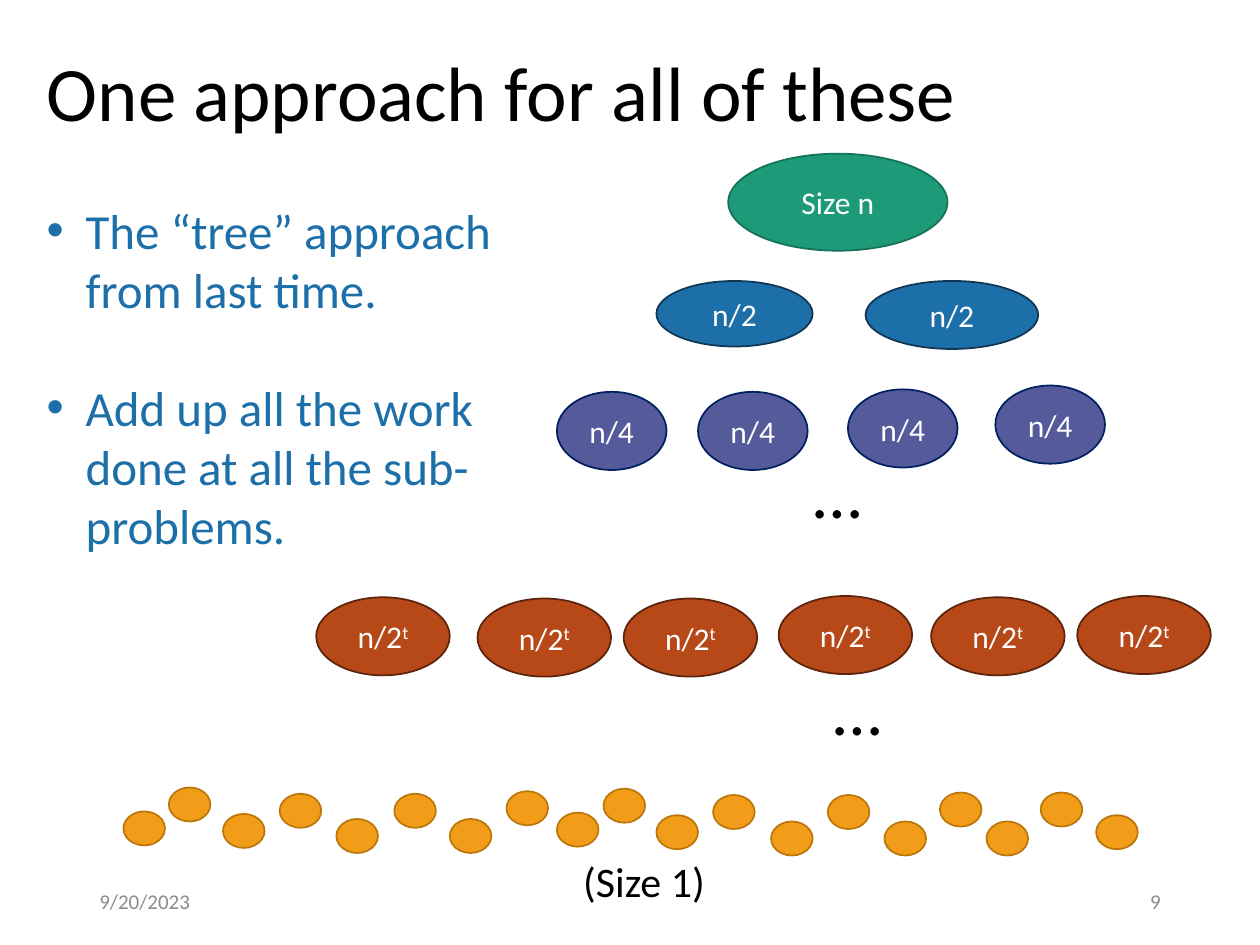
"""Build a slide that shows the recursion tree of sub-problems."""
from pptx import Presentation
from pptx.dml.color import RGBColor
from pptx.enum.shapes import MSO_SHAPE
from pptx.enum.text import MSO_ANCHOR, MSO_AUTO_SIZE, PP_ALIGN
from pptx.util import Inches, Pt

OVAL = MSO_SHAPE.OVAL
MIDDLE, TOP = MSO_ANCHOR.MIDDLE, MSO_ANCHOR.TOP
LEFT, CENTER, RIGHT = PP_ALIGN.LEFT, PP_ALIGN.CENTER, PP_ALIGN.RIGHT
NO_FIT = MSO_AUTO_SIZE.NONE

FONT = "Calibri"
BLACK = RGBColor(0x00, 0x00, 0x00)
WHITE = RGBColor(0xFF, 0xFF, 0xFF)
GRAY = RGBColor(0x8C, 0x8C, 0x8C)
GREEN, GREEN_LINE = RGBColor(0x1D, 0x9A, 0x78), RGBColor(0x15, 0x72, 0x59)
BLUE, BLUE_LINE = RGBColor(0x1D, 0x6F, 0xA9), RGBColor(0x0F, 0x37, 0x54)
PURPLE, PURPLE_LINE = RGBColor(0x55, 0x5B, 0x9A), RGBColor(0x00, 0x20, 0x60)
RUST, RUST_LINE = RGBColor(0xB7, 0x49, 0x19), RGBColor(0x5C, 0x24, 0x0C)
ORANGE, ORANGE_LINE = RGBColor(0xF1, 0x9D, 0x19), RGBColor(0xBC, 0x77, 0x0B)

BULLETS = [
    "The “tree” approach from last time.",
    "Add up all the work done at all the sub-problems.",
]
HALVES = [(5.21, 2.23, 1.24, 0.52), (6.87, 2.23, 1.37, 0.54)]
QUARTERS = [(4.42, 3.11), (5.54, 3.11), (6.73, 3.09), (7.9, 3.06)]
LEVEL_T = [(2.51, 4.74), (3.79, 4.75), (4.95, 4.75),
           (6.18, 4.73), (7.39, 4.74), (8.55, 4.73)]
LEAVES = [
    (0.98, 6.44), (1.34, 6.25), (1.77, 6.46), (2.22, 6.3), (2.67, 6.5),
    (3.13, 6.3), (3.57, 6.5), (4.02, 6.28), (4.42, 6.45), (4.79, 6.26),
    (5.21, 6.47), (5.66, 6.31), (6.12, 6.52), (6.57, 6.31), (7.02, 6.52),
    (7.46, 6.29), (7.83, 6.52), (8.26, 6.29), (8.7, 6.47),
]


def style(p, size, color, align=LEFT):
    """Set the font and alignment of a paragraph."""
    p.alignment = align
    p.font.name = FONT
    p.font.size = Pt(size)
    p.font.color.rgb = color


def place(sp, left, top, width, height):
    """Move and size a placeholder."""
    sp.left, sp.top = Inches(left), Inches(top)
    sp.width, sp.height = Inches(width), Inches(height)
    sp.text_frame.auto_size = NO_FIT


def set_title(slide, text):
    """Fill the title placeholder."""
    sp = slide.shapes.title
    place(sp, 0.27, 0.04, 7.96, 1.45)
    sp.text_frame.vertical_anchor = MIDDLE
    p = sp.text_frame.paragraphs[0]
    p.text = text
    p.line_spacing = 0.9
    style(p, 44, BLACK)


def set_bullets(slide, items):
    """Fill the body placeholder with spaced bullets."""
    sp = slide.placeholders[1]
    place(sp, 0.27, 1.54, 3.9, 2.93)
    tf = sp.text_frame
    tf.text = "\n".join(items)
    for i, p in enumerate(tf.paragraphs):
        pPr = p._p.get_or_add_pPr()
        pPr.set("marL", str(Inches(0.31)))
        pPr.set("indent", str(-Inches(0.31)))
        p.space_before = Pt(34 if i else 0)
        style(p, 28, BLUE)


def add_label(slide, text, box, size, color=BLACK, align=LEFT, anchor=TOP, wrap=True):
    """Add a one-line text box."""
    sp = slide.shapes.add_textbox(*map(Inches, box))
    tf = sp.text_frame
    tf.word_wrap = wrap
    tf.vertical_anchor = anchor
    p = tf.paragraphs[0]
    p.text = text
    style(p, size, color, align)


def add_node(slide, box, fill, line, text="", power=""):
    """Add an ellipse with an optional label and exponent."""
    sp = slide.shapes.add_shape(OVAL, *map(Inches, box))
    sp.shadow.inherit = False
    sp.fill.solid()
    sp.fill.fore_color.rgb = fill
    sp.line.color.rgb = line
    sp.line.width = Pt(1)
    if text:
        tf = sp.text_frame
        tf.vertical_anchor = MIDDLE
        p = tf.paragraphs[0]
        p.text = text
        style(p, 18, WHITE, CENTER)
        if power:
            r = p.add_run()
            r.text = power
            r.font._element.set("baseline", "30000")


def add_level(slide, spots, size, fill, line, text="", power=""):
    """Add equal nodes at the given spots."""
    for spot in spots:
        add_node(slide, spot + size, fill, line, text, power)


def main():
    """Build and save the slide."""
    prs = Presentation()
    prs.slide_width, prs.slide_height = Inches(10), Inches(7.5)
    slide = prs.slides.add_slide(prs.slide_layouts[1])
    set_title(slide, "One approach for all of these")
    set_bullets(slide, BULLETS)

    add_node(slide, (5.78, 1.22, 1.74, 0.77), GREEN, GREEN_LINE, "Size n")
    for box in HALVES:
        add_node(slide, box, BLUE, BLUE_LINE, "n/2")
    add_level(slide, QUARTERS, (0.87, 0.62), PURPLE, PURPLE_LINE, "n/4")
    add_level(slide, LEVEL_T, (1.06, 0.62), RUST, RUST_LINE, "n/2", "t")
    add_level(slide, LEAVES, (0.33, 0.27), ORANGE, ORANGE_LINE)

    for left, top in [(6.36, 3.51), (6.52, 5.23)]:
        add_label(slide, "…", (left, top, 0.57, 0.77), 40)
    add_label(slide, "(Size 1)", (4.53, 6.74, 1.18, 0.5), 24, wrap=False)
    add_label(slide, "9/20/2023", (0.69, 6.95, 2.25, 0.4), 12, GRAY, anchor=MIDDLE)
    add_label(slide, "9", (7.06, 6.95, 2.25, 0.4), 12, GRAY, RIGHT, MIDDLE)
    prs.save("out.pptx")


if __name__ == "__main__":
    main()
